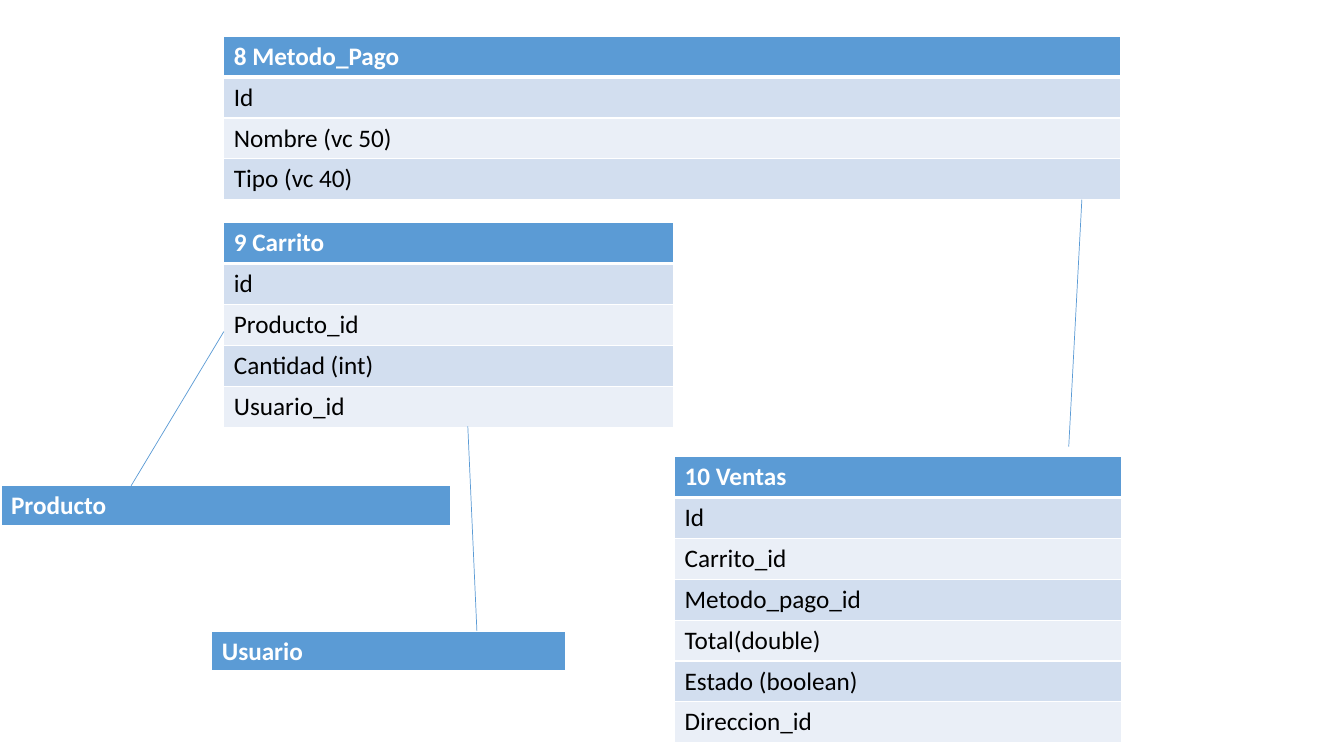
from lxml import etree
from pptx import Presentation
from pptx.dml.color import RGBColor
from pptx.enum.shapes import MSO_CONNECTOR as Connector
from pptx.oxml.ns import qn
from pptx.util import Inches, Pt

WHITE = RGBColor(0xFF, 0xFF, 0xFF)
BLACK = RGBColor(0x00, 0x00, 0x00)
BLUE = RGBColor(0x5B, 0x9B, 0xD5)
BAND_DARK = RGBColor(0xD2, 0xDE, 0xEF)
BAND_LIGHT = RGBColor(0xEA, 0xEF, 0xF7)
FONT = "Calibri"
ROW_HEIGHT = 2.84 / 7

# Entity name, left, top, width, fields
ENTITIES = [
    ("9 Carrito", 2.22, 2.21, 4.46,
     ["id", "Producto_id", "Cantidad (int)", "Usuario_id"]),
    ("10 Ventas", 6.69, 4.53, 4.43,
     ["Id", "Carrito_id", "Metodo_pago_id", "Total(double)",
      "Estado (boolean)", "Direccion_id"]),
    ("8 Metodo_Pago", 2.22, 0.36, 8.89,
     ["Id", "Nombre (vc 50)", "Tipo (vc 40)"]),
    ("Producto", 0.01, 4.82, 4.46, []),
    ("Usuario", 2.1, 6.26, 3.51, []),
]

# Start x, start y, end x, end y
RELATIONS = [
    (10.73, 1.98, 10.6, 4.43),  # Metodo_Pago to Ventas
    (2.22, 3.29, 1.3, 4.82),    # Carrito to Producto
    (4.64, 4.23, 4.73, 6.26),   # Carrito to Usuario
]


def set_borders(cell, top, bottom):
    """Draw white borders; the fill must be set afterwards."""
    properties = cell._tc.get_or_add_tcPr()
    for side, points in (("L", 1), ("R", 1), ("T", top), ("B", bottom)):
        border = etree.SubElement(properties, qn(f"a:ln{side}"), w=str(Pt(points)))
        fill = etree.SubElement(border, qn("a:solidFill"))
        etree.SubElement(fill, qn("a:srgbClr"), val=str(WHITE))


def add_entity(slide, name, left, top, width, fields):
    labels = [name, *fields]
    frame = slide.shapes.add_table(
        len(labels), 1, Inches(left), Inches(top),
        Inches(width), Inches(ROW_HEIGHT * len(labels)))
    table = frame.table
    for index, label in enumerate(labels):
        is_header = index == 0
        table.rows[index].height = Inches(ROW_HEIGHT)
        cell = table.cell(index, 0)
        set_borders(cell, 3 if index == 1 else 1, 3 if is_header else 1)
        cell.fill.solid()
        band = BAND_DARK if index % 2 else BAND_LIGHT
        cell.fill.fore_color.rgb = BLUE if is_header else band

        cell.text = label
        font = cell.text_frame.paragraphs[0].font
        font.name, font.size, font.bold = FONT, Pt(18), is_header
        font.color.rgb = WHITE if is_header else BLACK


def add_relation(slide, *ends):
    relation = slide.shapes.add_connector(
        Connector.STRAIGHT, *(Inches(end) for end in ends))
    relation.line.color.rgb = BLUE
    relation.line.width = Pt(0.5)
    etree.SubElement(relation._element.spPr, qn("a:effectLst"))


def main():
    deck = Presentation()
    deck.slide_width, deck.slide_height = Inches(13.33), Inches(7.5)
    slide = deck.slides.add_slide(deck.slide_layouts[6])

    # Entity tables
    for entity in ENTITIES:
        add_entity(slide, *entity)

    # Relations between entities
    for relation in RELATIONS:
        add_relation(slide, *relation)

    deck.save("out.pptx")


if __name__ == "__main__":
    main()
